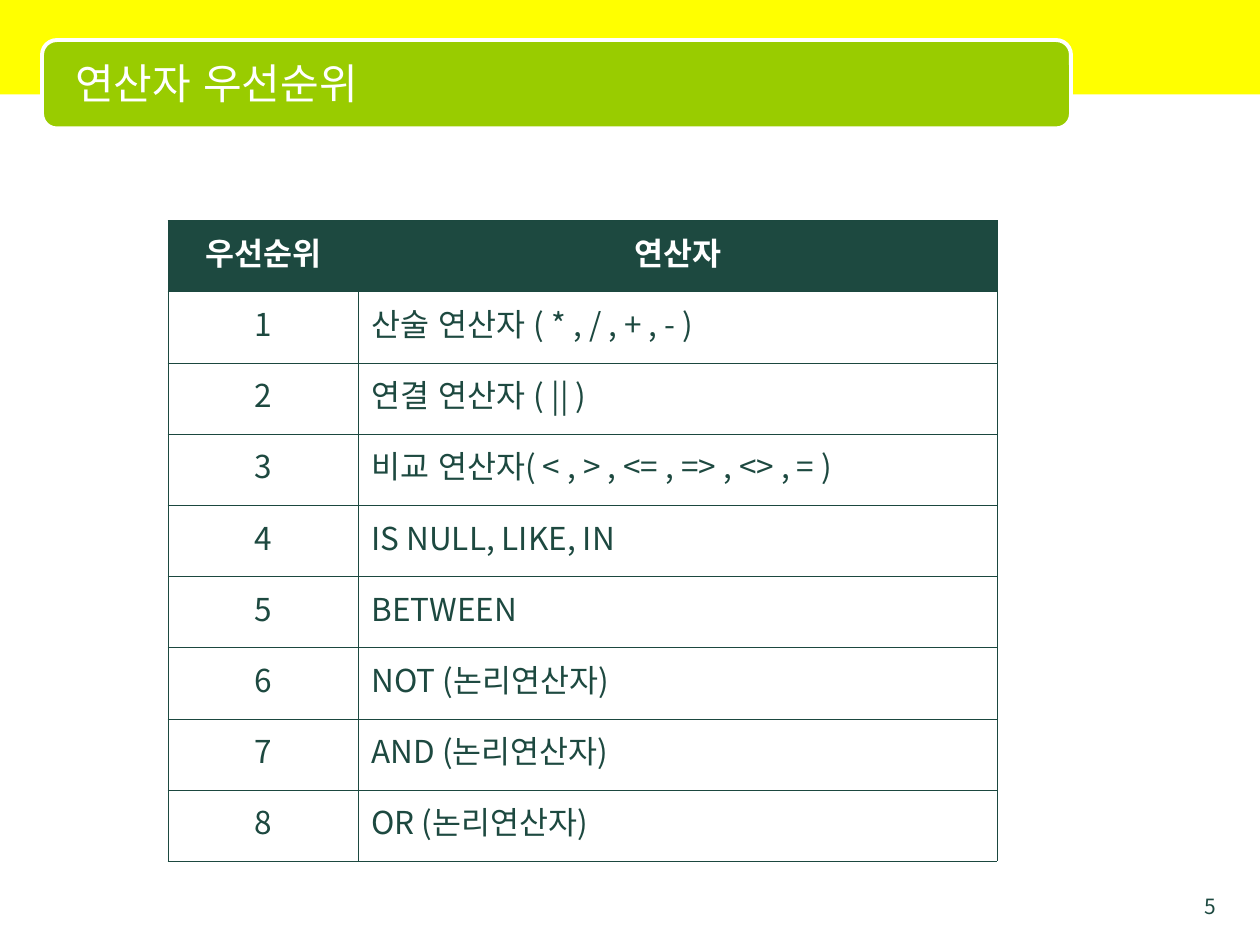
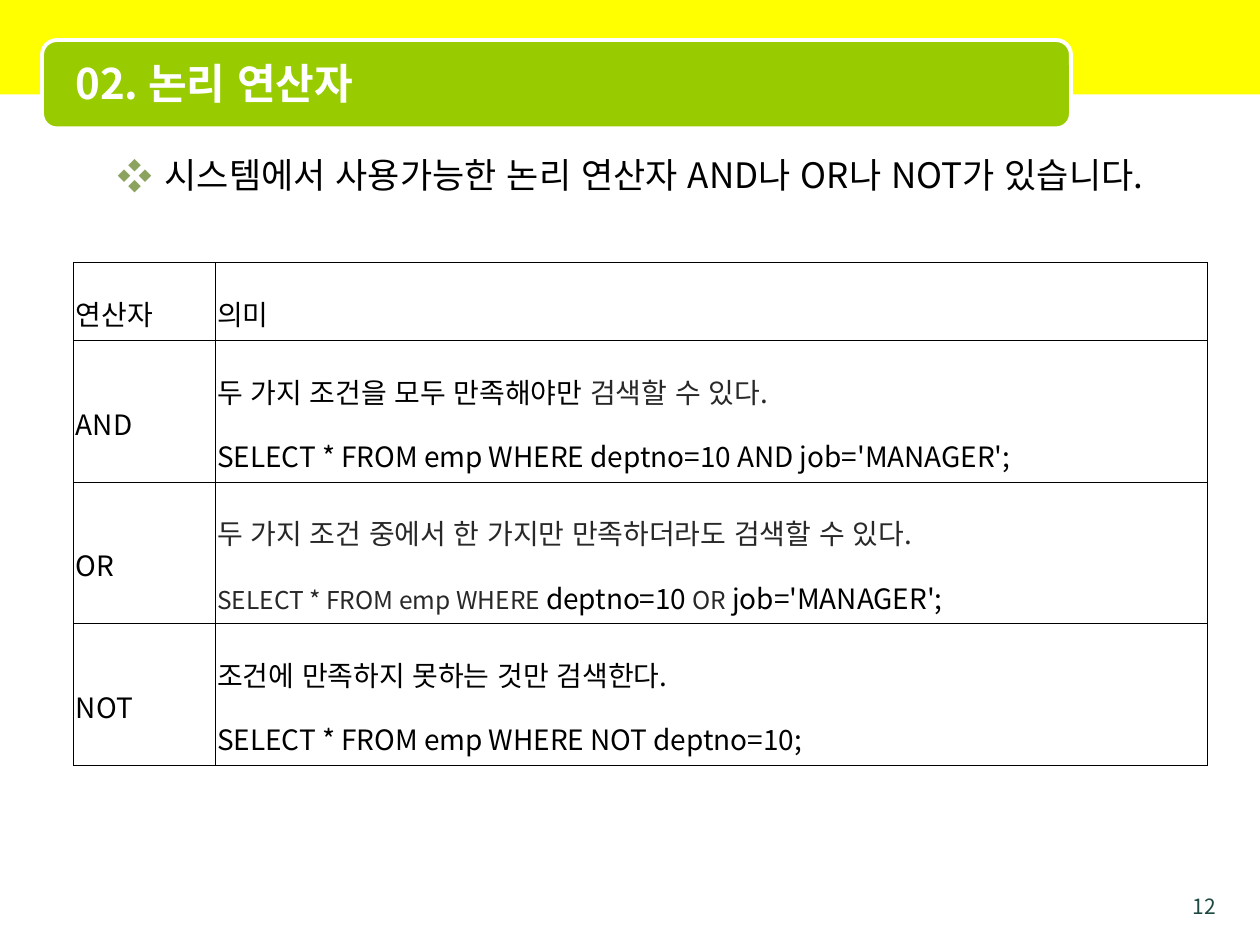
"""Build two slides on SQL operators: precedence and logical operators."""
from dataclasses import dataclass, field
from typing import Any, NamedTuple

from lxml import etree
from pptx import Presentation, util as u
from pptx.dml import color
from pptx.enum import shapes, text
from pptx.oxml import ns

FONT = "Noto Sans CJK KR"
COLORS = {
    "band": "FFFF00", "title": "99CC00", "white": "FFFFFF", "green": "1D4940",
    "rule": "1B483F", "bullet": "8CA35F", "black": "000000", "gray": "282828",
}
ALIGN = text.PP_ALIGN
SHAPE = shapes.MSO_SHAPE
MIDDLE = text.MSO_ANCHOR.MIDDLE


class Box(NamedTuple):
    left: float
    top: float
    width: float
    height: float

    def lengths(self) -> list[int]:
        return [u.Pt(v) for v in self]


class Run(NamedTuple):
    text: str
    color: str = "black"
    size: float = 16


class Border(NamedTuple):
    color: str
    width: float


@dataclass
class Cell:
    paragraphs: list[Any]
    fill: str | None = None
    fmt: dict[str, Any] = field(default_factory=dict)


@dataclass
class Grid:
    left: float
    top: float
    cols: list[float]
    rows: list[float]
    margin: float
    thin: Border
    edge: Border
    cells: list[list[Cell]]


def rgb(name: str) -> color.RGBColor:
    return color.RGBColor.from_string(COLORS[name])


def add_xml(parent: Any, tag: str, **attrs: Any) -> Any:
    return etree.SubElement(parent, ns.qn(tag), {k: str(v) for k, v in attrs.items()})


def write(tf: Any, content: str | list[Run], *, size: float = 16, color: str = "black",
          bold: bool = False, align: Any = ALIGN.LEFT, spacing: float | None = None,
          before: float = 0, first: bool = True) -> Any:
    p = tf.paragraphs[0] if first else tf.add_paragraph()
    p.alignment, p.line_spacing, p.space_before = align, spacing, u.Pt(before)
    runs = [Run(content, color, size)] if isinstance(content, str) else content
    for run in runs:
        r = p.add_run()
        r.text = run.text
        r.font.size, r.font.bold, r.font.name = u.Pt(run.size), bold, FONT
        r.font.color.rgb = rgb(run.color)
        rPr = r._r.get_or_add_rPr()
        rPr.set("lang", "ko-KR")
        rPr.set("kern", "0")
        add_xml(rPr, "a:ea", typeface=FONT)
    return p


def add_bar(s: Any, kind: Any, box: Box, fill: str, line: Border | None = None) -> Any:
    sp = s.shapes.add_shape(kind, *box.lengths())
    sp.shadow.inherit = False
    sp.fill.solid()
    sp.fill.fore_color.rgb = rgb(fill)
    if line:
        sp.line.color.rgb = rgb(line.color)
        sp.line.width = u.Pt(line.width)
    else:
        sp.line.fill.background()
    return sp


def add_text(s: Any, box: Box, content: str, anchor: Any = text.MSO_ANCHOR.TOP,
             **fmt: Any) -> Any:
    tf = s.shapes.add_textbox(*box.lengths()).text_frame
    tf.word_wrap, tf.vertical_anchor = True, anchor
    return write(tf, content, **fmt)


def add_bullet(p: Any, char: str, indent: float) -> None:
    pPr = p._p.get_or_add_pPr()
    pPr.set("marL", str(u.Pt(indent)))
    pPr.set("indent", str(-u.Pt(indent)))
    add_xml(add_xml(pPr, "a:buClr"), "a:srgbClr", val=COLORS["bullet"])
    add_xml(pPr, "a:buFont", typeface=FONT)
    add_xml(pPr, "a:buChar", char=char)


def add_border(tcPr: Any, side: str, border: Border) -> None:
    ln = add_xml(tcPr, f"a:ln{side}", w=u.Pt(border.width))
    add_xml(add_xml(ln, "a:solidFill"), "a:srgbClr", val=COLORS[border.color])


def add_grid(s: Any, grid: Grid) -> None:
    box = Box(grid.left, grid.top, sum(grid.cols), sum(grid.rows))
    table = s.shapes.add_table(len(grid.rows), len(grid.cols), *box.lengths()).table
    table.first_row = table.horz_banding = False
    for col, width in zip(table.columns, grid.cols):
        col.width = u.Pt(width)
    last = len(grid.rows) - 1
    for i, (row, height) in enumerate(zip(table.rows, grid.rows)):
        row.height = u.Pt(height)
        for j, (tc, cell) in enumerate(zip(row.cells, grid.cells[i])):
            edges = {"L": True, "R": j == 0, "T": i == j == 0, "B": i == last and j == 0}
            for side, is_edge in edges.items():
                add_border(tc._tc.get_or_add_tcPr(), side, grid.edge if is_edge else grid.thin)
            if cell.fill:
                tc.fill.solid()
                tc.fill.fore_color.rgb = rgb(cell.fill)
            else:
                tc.fill.background()
            tc.vertical_anchor = MIDDLE
            tc.margin_left = tc.margin_right = u.Pt(grid.margin)
            tc.margin_top = tc.margin_bottom = u.Pt(3.69)
            for k, content in enumerate(cell.paragraphs):
                write(tc.text_frame, content, first=k == 0, **cell.fmt)


def add_slide(prs: Any, title: str, number: int, bold: bool = False) -> Any:
    s = prs.slides.add_slide(prs.slide_layouts[6])
    add_bar(s, SHAPE.RECTANGLE, Box(0, 0, 720, 54), "band")
    add_bar(s, SHAPE.ROUNDED_RECTANGLE, Box(24, 22.9, 588, 50.5), "title", Border("white", 2.25))
    add_text(s, Box(666, 507, 36, 15), str(number), size=12, color="green", align=ALIGN.RIGHT)
    add_text(s, Box(36, 25, 570, 45), title, MIDDLE, size=24, color="white", bold=bold)
    return s


def precedence_cell(content: str, header: bool, centred: bool) -> Cell:
    fmt = dict(size=18, color="white" if header else "green", bold=header,
               align=ALIGN.CENTER if header or centred else ALIGN.LEFT,
               spacing=u.Pt(21), before=6)
    return Cell([content], "green" if header else None, fmt)


def add_precedence(prs: Any) -> None:
    s = add_slide(prs, "연산자 우선순위", 5)
    operators = [
        "산술 연산자 ( * , / , + , - )", "연결 연산자 ( || )",
        "비교 연산자( < , > , <= , => , <> , = )", "IS NULL, LIKE, IN", "BETWEEN",
        "NOT (논리연산자)", "AND (논리연산자)", "OR (논리연산자)",
    ]
    rows = [("우선순위", "연산자")] + [(str(n), op) for n, op in enumerate(operators, 1)]
    cells = [[precedence_cell(c, i == 0, j == 0) for j, c in enumerate(row)]
             for i, row in enumerate(rows)]
    add_grid(s, Grid(96, 126, [108.75, 365], [40.7] * len(rows), 7.5,
                     Border("rule", 0.34), Border("green", 0.45), cells))


def add_logical(prs: Any) -> None:
    s = add_slide(prs, "02. 논리 연산자", 12, bold=True)
    p = add_text(s, Box(60, 84, 648, 251),
                 "시스템에서 사용가능한 논리 연산자 AND나 OR나 NOT가 있습니다.",
                 size=20, before=24)
    add_bullet(p, "❖", 27)
    rows = [
        ("연산자", ["의미"]),
        ("AND", [[Run("두 가지 조건을 모두 만족해야만 "), Run("검색할 수 있다.", "gray")],
                 "SELECT * FROM emp WHERE deptno=10 AND job='MANAGER';"]),
        ("OR", [[Run("두 가지 조건 중에서 한 가지만 만족하더라도 검색할 수 있다.", "gray")],
                [Run("SELECT * FROM emp WHERE ", "gray", 14), Run("deptno=10"),
                 Run(" OR", "gray", 14), Run(" job='MANAGER';")]]),
        ("NOT", ["조건에 만족하지 못하는 것만 검색한다.",
                 "SELECT * FROM emp WHERE NOT deptno=10;"]),
    ]
    fmt = dict(align=ALIGN.JUSTIFY, spacing=1.6)
    cells = [[Cell([name], fmt=fmt), Cell(meaning, fmt=fmt)] for name, meaning in rows]
    line = Border("black", 0.11)
    add_grid(s, Grid(42, 150, [80.75, 567.25], [44.5] + [80.9] * 3, 1.4, line, line, cells))


def main() -> None:
    prs = Presentation()
    prs.slide_width, prs.slide_height = u.Pt(720), u.Pt(540)
    add_precedence(prs)
    add_logical(prs)
    prs.save("out.pptx")


if __name__ == "__main__":
    main()
